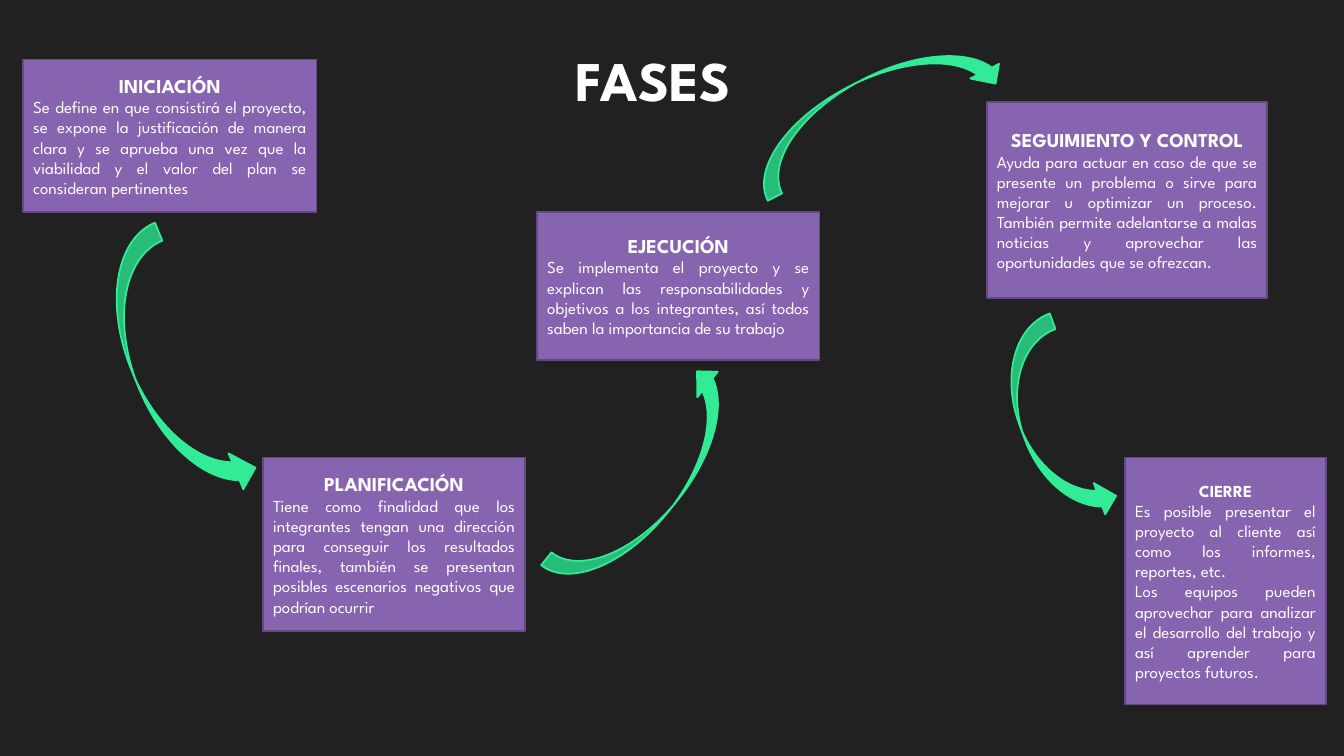
from dataclasses import dataclass

from pptx import Presentation
from pptx import util as u
from pptx.dml.color import RGBColor as Rgb
from pptx.enum import shapes, text


@dataclass(frozen=True)
class Theme:
    back: Rgb = Rgb.from_string("212121")
    box: Rgb = Rgb.from_string("8664B0")
    edge: Rgb = Rgb.from_string("634A82")
    arrow: Rgb = Rgb.from_string("31EB97")
    ink: Rgb = Rgb.from_string("FFFFFF")
    font: str = "League Spartan"
    title: int = 40
    head: int = 14
    body: int = 12
    line: float = 1.25


theme = Theme()
deck = Presentation()
deck.slide_width, deck.slide_height = u.Inches(13.33), u.Inches(7.5)
# The grid has 100 columns and 100 rows.
col, row = deck.slide_width / 100, deck.slide_height / 100
slide = deck.slides.add_slide(deck.slide_layouts.get_by_name("Title Only"))
slide.background.fill.solid()
slide.background.fill.fore_color.rgb = theme.back


def draw(kind, area, fill, edge):
    """Add a flat shape; area is left, top, width, height in grid units."""
    x, y, w, h = area
    shape = slide.shapes.add_shape(
        kind, int(x * col), int(y * row), int(w * col), int(h * row))
    shape.shadow.inherit = False
    shape.fill.solid()
    shape.fill.fore_color.rgb = fill
    shape.line.color.rgb = edge
    shape.line.width = u.Pt(theme.line)
    return shape


def write(par, words, size, bold, align):
    par.alignment = align
    run = par.add_run()
    run.text = words
    font = run.font
    font.name, font.size, font.bold = theme.font, u.Pt(size), bold
    font.color.rgb = theme.ink


title = slide.shapes.title
title.left, title.top = int(34.36 * col), int(5.33 * row)
title.width, title.height = int(28.51 * col), int(10.27 * row)
frame = title.text_frame
frame.word_wrap = True
frame.auto_size = text.MSO_AUTO_SIZE.NONE
frame.vertical_anchor = text.MSO_ANCHOR.TOP
write(frame.paragraphs[0], "FASES", theme.title, True, text.PP_ALIGN.CENTER)

phases = [
    ((1.73, 7.87, 21.83, 20.13), "INICIACIÓN", theme.head, [
        "Se define en que consistirá el proyecto, se expone la justificación "
        "de manera clara y se aprueba una vez que la viabilidad y el valor "
        "del plan se consideran pertinentes"]),
    ((19.58, 60.53, 19.5, 22.93), "PLANIFICACIÓN", theme.head, [
        "Tiene como finalidad que los integrantes tengan una dirección para "
        "conseguir los resultados finales, también se presentan posibles "
        "escenarios negativos que podrían ocurrir"]),
    ((39.98, 28, 21, 19.6), "EJECUCIÓN", theme.head, [
        "Se implementa el proyecto y se explican las responsabilidades y "
        "objetivos a los integrantes, así todos saben la importancia de su "
        "trabajo"]),
    ((73.44, 13.47, 20.86, 26), "SEGUIMIENTO Y CONTROL", theme.head, [
        "Ayuda para actuar en caso de que se presente un problema o sirve "
        "para mejorar u optimizar un proceso. También permite adelantarse a "
        "malas noticias y aprovechar las oportunidades que se ofrezcan."]),
    ((83.72, 60.53, 14.93, 32.67), "CIERRE", theme.body, [
        "Es posible presentar el proyecto al cliente así como los informes, "
        "reportes, etc.",
        "Los equipos pueden aprovechar para analizar el desarrollo del "
        "trabajo y así aprender para proyectos futuros."]),
]
for area, name, size, notes in phases:
    box = draw(shapes.MSO_SHAPE.RECTANGLE, area, theme.box, theme.edge)
    frame = box.text_frame
    frame.word_wrap = True
    frame.vertical_anchor = text.MSO_ANCHOR.MIDDLE
    write(frame.paragraphs[0], name, size, True, text.PP_ALIGN.CENTER)
    for note in notes:
        write(frame.add_paragraph(), note, theme.body, False,
              text.PP_ALIGN.JUSTIFY)

# Each arrow: area, turn in degrees, mirrored or not.
arrows = [
    ((9.98, 30, 5.78, 37.6), 337.7, False),
    ((45.91, 46.27, 4.88, 35.07), 218.8, False),
    ((62.64, -3.47, 4.8, 36), 242.8, True),
    ((75.99, 42.13, 4.95, 27.87), 340, False),
]
for area, turn, flip in arrows:
    arrow = draw(shapes.MSO_SHAPE.CURVED_RIGHT_ARROW, area,
                 theme.arrow, theme.arrow)
    arrow.rotation = turn
    if flip:
        arrow.element.spPr.get_or_add_xfrm().set("flipH", "1")

deck.save("out.pptx")
